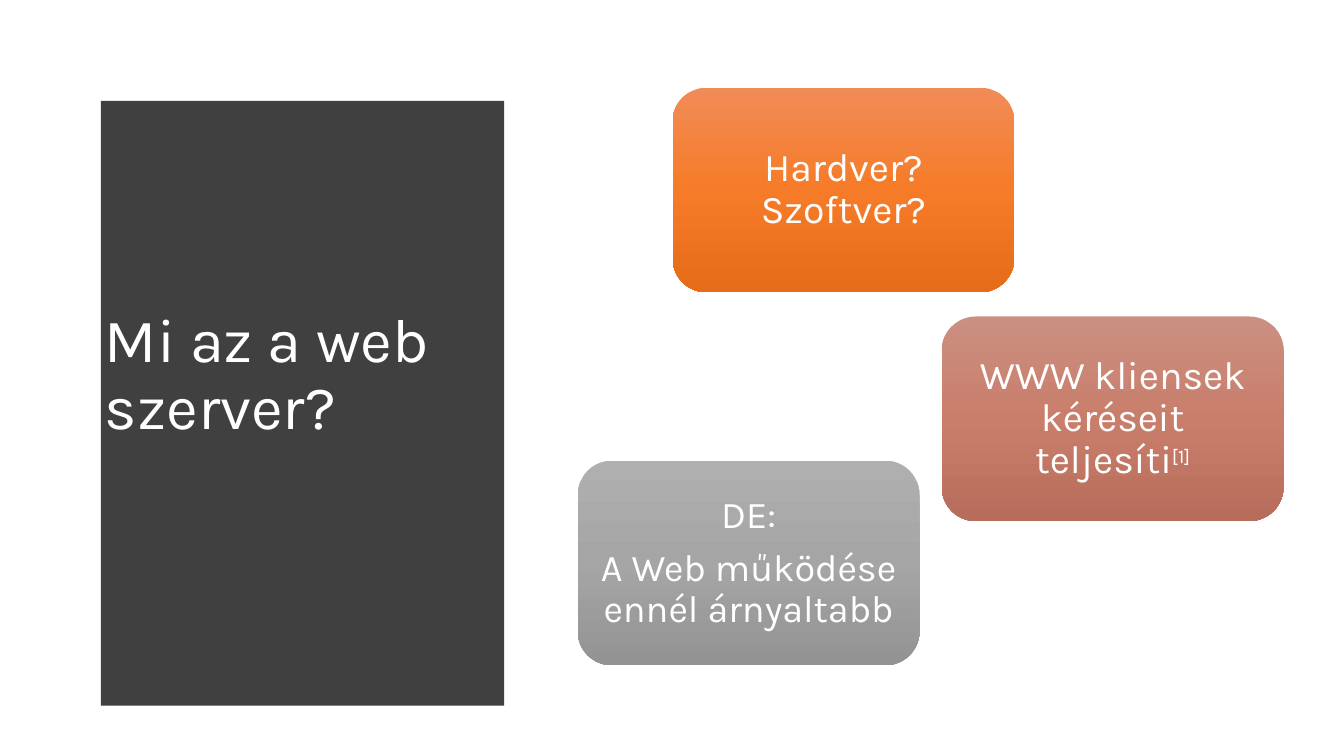
from copy import deepcopy

from pptx import Presentation
from pptx.dml.color import RGBColor
from pptx.enum.shapes import MSO_SHAPE
from pptx.enum.text import MSO_ANCHOR, PP_ALIGN
from pptx.oxml.ns import qn
from pptx.util import Inches, Pt

ROUNDED = MSO_SHAPE.ROUNDED_RECTANGLE
MIDDLE = MSO_ANCHOR.MIDDLE
LEFT, CENTER = PP_ALIGN.LEFT, PP_ALIGN.CENTER
FONT, WHITE, DARK = "Karla", "FFFFFF", "404040"

# Content: left, top, text size, gradient colours, paragraphs made of (text, is reference)
TITLE = "Mi az a web szerver?"
CARDS = [
    (6.67, 0.87, 28, ("F18C57", "F67B28", "E56C19"),
     [[("Hardver? Szoftver?", False)]]),
    (9.34, 3.14, 28, ("CB8F81", "C97E6B", "B76D5B"),
     [[("WWW kliensek kéréseit teljesíti", False), ("[1]", True)]]),
    (5.73, 4.57, 27, ("AFAFAF", "A5A5A5", "939393"),
     [[("DE:", False)], [("A Web működése ennél árnyaltabb", False)]]),
]
CARD_WIDTH, CARD_HEIGHT, CARD_INSET = 3.39, 2.03, 0.12

# Dark panel with a bulging right side
PANEL_LEFT, PANEL_TOP, PANEL_BOTTOM = 0.53, 0.52, 6.96
EDGE, BULGE, APEX = 5.08, 0.24, 3.65
STEPS = 60


def colour(value):
    return RGBColor.from_string(value)


def style(para, size, align):
    para.alignment = align
    para.line_spacing = 0.9
    para.font.name = FONT
    para.font.size = Pt(size)
    para.font.color.rgb = colour(WHITE)


def fill_gradient(shape, colours):
    """Fill from top to bottom with three evenly spaced colours."""
    shape.fill.gradient()
    shape.fill.gradient_angle = 270
    stop_list = shape._element.spPr.find(qn("a:gradFill")).find(qn("a:gsLst"))
    stop_list.insert(1, deepcopy(stop_list[0]))
    for index, (stop, value) in enumerate(zip(shape.fill.gradient_stops, colours)):
        stop.position = index / 2
        stop.color.rgb = colour(value)


def panel_edge(y):
    reach = APEX - PANEL_TOP if y < APEX else PANEL_BOTTOM - APEX
    return EDGE + BULGE * (1 - ((y - APEX) / reach) ** 2)


deck = Presentation()
deck.slide_width, deck.slide_height = Inches(13.33), Inches(7.5)
page = deck.slides.add_slide(deck.slide_layouts[5])

# Panel, placed behind the title
heights = [PANEL_TOP + (PANEL_BOTTOM - PANEL_TOP) * step / STEPS
           for step in range(STEPS + 1)]
outline = [(panel_edge(y), y) for y in heights] + [(PANEL_LEFT, PANEL_BOTTOM)]
builder = page.shapes.build_freeform(PANEL_LEFT, PANEL_TOP, scale=Inches(1))
builder.add_line_segments(outline, close=True)
panel = builder.convert_to_shape()
panel.shadow.inherit = False
panel.fill.solid()
panel.fill.fore_color.rgb = colour(DARK)
panel.line.fill.background()

# Title
title = page.shapes.title
title.left, title.top = Inches(0.94), Inches(1.11)
title.width, title.height = Inches(3.74), Inches(5.24)
title.text_frame.text = TITLE
title.text_frame.word_wrap = True
title.text_frame.vertical_anchor = MIDDLE
style(title.text_frame.paragraphs[0], 44, LEFT)
page.shapes._spTree.append(title._element)

# Cards
for left, top, size, colours, paragraphs in CARDS:
    card = page.shapes.add_shape(ROUNDED, Inches(left), Inches(top),
                                 Inches(CARD_WIDTH), Inches(CARD_HEIGHT))
    card.shadow.inherit = False
    card.line.fill.background()
    fill_gradient(card, colours)
    frame = card.text_frame
    frame.word_wrap = True
    frame.vertical_anchor = MIDDLE
    frame.margin_left = frame.margin_right = Inches(CARD_INSET)
    frame.margin_top = frame.margin_bottom = Inches(CARD_INSET)
    for index, spans in enumerate(paragraphs):
        para = frame.add_paragraph() if index else frame.paragraphs[0]
        style(para, size, CENTER)
        para.space_after = Pt(9)
        for text, is_reference in spans:
            span = para.add_run()
            span.text = text
            if is_reference:
                span.font.size = Pt(24)
                span.font._element.set("baseline", "30000")

deck.save("out.pptx")
